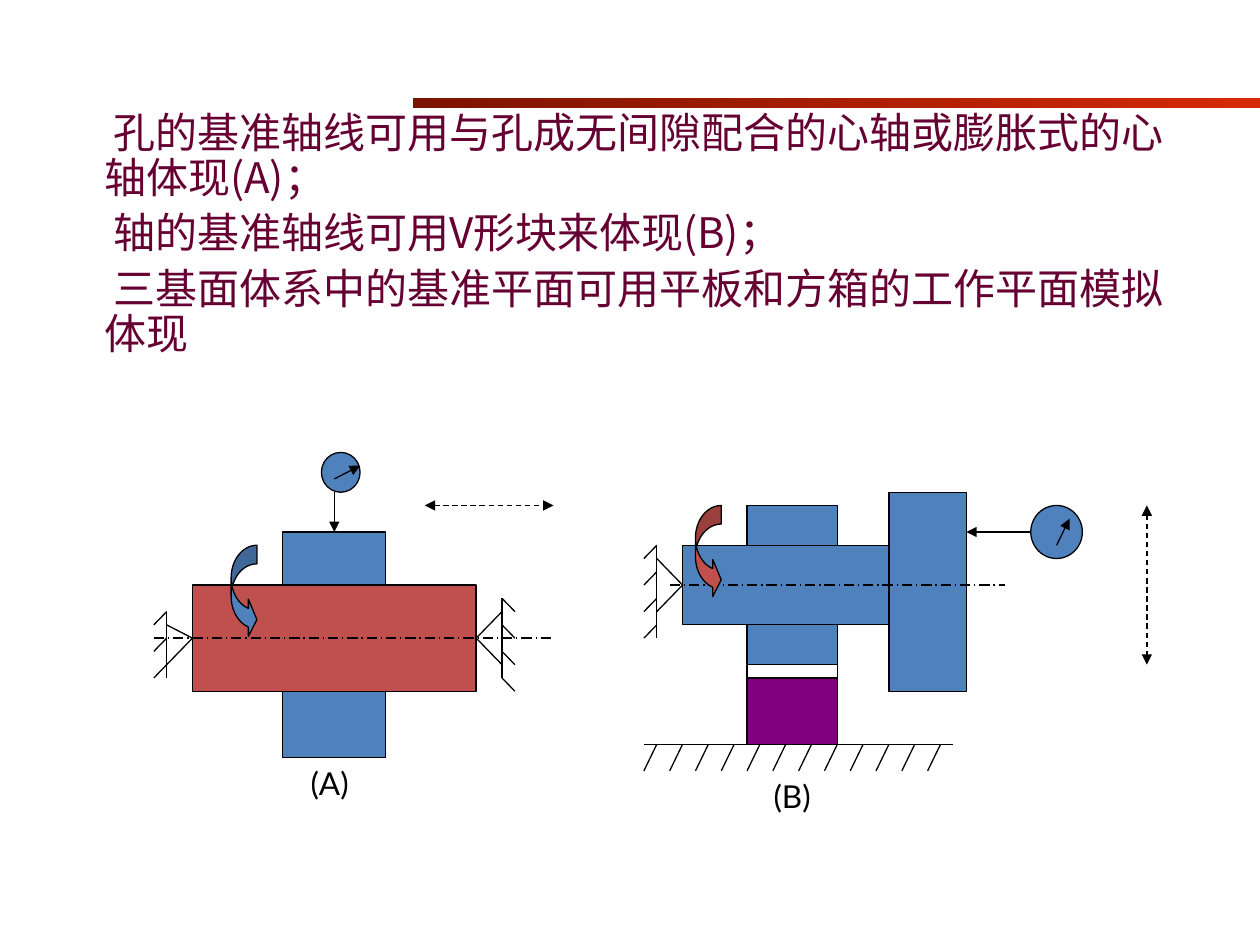
from lxml import etree
from pptx import Presentation
from pptx import util as u
from pptx.dml.color import RGBColor
from pptx.enum import dml, shapes, text
from pptx.oxml.ns import qn

COLORS = {"ink": "000000", "body": "660033", "blue": "4F81BD", "red": "C0504D",
          "purple": "800080", "bar_dark": "7C1300", "bar_light": "D52907"}
BODY_FONT, LABEL_FONT = "Noto Sans CJK SC", "Lato"
DASH, AXIS = dml.MSO_LINE.DASH, dml.MSO_LINE.LONG_DASH_DOT
RECT, OVAL = shapes.MSO_SHAPE.RECTANGLE, shapes.MSO_SHAPE.OVAL
TOP, LEFT, RIGHT = 0, 1, 3

BODY = ["孔的基准轴线可用与孔成无间隙配合的心轴或膨胀式的心轴体现(A)；",
        "轴的基准轴线可用V形块来体现(B)；",
        "三基面体系中的基准平面可用平板和方箱的工作平面模拟体现"]


def rgb(name):
    return RGBColor.from_string(COLORS[name])


# The drawing stands on a grid of columns and rows
def col(n):
    return int(u.Cm(3.1) + n * u.Cm(0.26))


def row(n):
    return int(u.Cm(9.12) + n * u.Cm(6.42) / 24)


def write(p, content, font, size, color="ink"):
    r = p.add_run()
    r.text = content
    r.font.name, r.font.size = font, u.Pt(size)
    r.font.color.rgb = rgb(color)
    ea = etree.SubElement(r._r.get_or_add_rPr(), qn("a:ea"))
    ea.set("typeface", font)


class Drawing:
    def __init__(self, slide, ink="ink", width=0.75):
        self.s, self.ink, self.width = slide, ink, u.Pt(width)

    def bar(self, x, y, w, h):
        sp = self.s.shapes.add_shape(RECT, x, y, w, h)
        sp.shadow.inherit = False
        sp.line.fill.background()
        sp.fill.gradient()
        sp.fill.gradient_angle = 0
        for stop, pos, name in zip(sp.fill.gradient_stops, (0, 1), ("bar_dark", "bar_light")):
            stop.position, stop.color.rgb = pos, rgb(name)

    def textbox(self, x, y, w, h, wrap):
        tf = self.s.shapes.add_textbox(x, y, w, h).text_frame
        tf.word_wrap = wrap
        return tf

    def body(self, x, y, w, h, paragraphs):
        tf = self.textbox(x, y, w, h, True)
        for i, content in enumerate(paragraphs):
            p = tf.paragraphs[0] if i == 0 else tf.add_paragraph()
            pPr = p._p.get_or_add_pPr()
            pPr.set("marL", str(u.Cm(0.96)))
            pPr.set("indent", str(u.Cm(0.18)))
            p.line_spacing = u.Pt(25.7)
            if i:
                p.space_before = u.Pt(6)
            write(p, content, BODY_FONT, 24, "body")

    def label(self, c, r, content):
        tf = self.textbox(col(c), row(r), u.Cm(1.3), u.Cm(1.02), False)
        tf.auto_size = text.MSO_AUTO_SIZE.SHAPE_TO_FIT_TEXT
        write(tf.paragraphs[0], content, LABEL_FONT, 18)

    def shape(self, c1, r1, c2, r2, fill="blue", kind=RECT):
        sp = self.s.shapes.add_shape(kind, col(c1), row(r1),
                                     col(c2) - col(c1), row(r2) - row(r1))
        sp.shadow.inherit = False
        sp.fill.solid()
        sp.fill.fore_color.rgb = rgb(fill)
        sp.line.color.rgb, sp.line.width = rgb(self.ink), self.width
        return sp

    def turn_arrow(self, c, r, fill):
        sp = self.shape(c, r, c + 2, r + 7, fill, shapes.MSO_SHAPE.CURVED_RIGHT_ARROW)
        for i, value in enumerate((0.72, 1.44, 0.33)):
            sp.adjustments[i] = value

    def line(self, c1, r1, c2, r2, dash=None, heads=(), begin=None, end=None):
        cn = self.s.shapes.add_connector(shapes.MSO_CONNECTOR.STRAIGHT,
                                         col(c1), row(r1), col(c2), row(r2))
        if begin:
            cn.begin_connect(*begin)
        if end:
            cn.end_connect(*end)
        cn.line.color.rgb, cn.line.width = rgb(self.ink), self.width
        if dash:
            cn.line.dash_style = dash
        ln = cn.line._get_or_add_ln()
        for tag in heads:
            etree.SubElement(ln, qn(f"a:{tag}")).set("type", "triangle")
        etree.SubElement(cn._element.spPr, qn("a:effectLst"))

    def support(self, shaft, site, tip, wall, cone, ends, hatches):
        """Pointed centre touching the shaft, with a hatched wall behind it."""
        side = 1 if wall > tip[0] else -1
        for r in cone:
            self.line(*tip, wall, r, begin=(shaft, site))
        self.line(wall, ends[0], wall, ends[1])
        for r in hatches:
            self.line(wall, r, wall + side, r + 1)


def main():
    prs = Presentation()
    prs.slide_width, prs.slide_height = u.Cm(25.4), u.Cm(19.05)
    d = Drawing(prs.slides.add_slide(prs.slide_layouts[6]))

    # Bar and text
    d.bar(u.Cm(8.33), u.Cm(1.98), u.Cm(17.07), u.Cm(0.2))
    d.body(u.Cm(0.89), u.Cm(2.13), u.Cm(23.47), u.Cm(9.3), BODY)

    # (A) workpiece on a mandrel between two centres
    hub = d.shape(10, 6, 18, 23)
    mandrel = d.shape(3, 10, 25, 18, "red")
    d.support(mandrel, LEFT, (3, 14), 1, (13, 16), (12, 17), range(12, 17, 2))
    d.support(mandrel, RIGHT, (25, 14), 27, (12, 16), (11, 17), range(11, 18, 2))
    d.line(0, 14, 31, 14, AXIS)
    d.line(14, 3, 14, 6, heads=["tailEnd"], end=(hub, TOP))
    d.shape(13, 0, 16, 3, kind=OVAL)
    d.line(14, 2, 16, 1, heads=["tailEnd"])
    d.line(21, 4, 31, 4, DASH, ["headEnd", "tailEnd"])
    d.turn_arrow(6, 7, "blue")
    d.label(11.2, 23, "(A)")

    # (B) shaft on a V-block
    wheel = d.shape(57, 3, 63, 18)
    d.shape(46, 4, 53, 16)
    for c in (46, 53):
        d.line(c, 16, c, 18)
    d.shape(46, 17, 53, 22, "purple")
    shaft = d.shape(41, 7, 57, 13)
    d.support(shaft, LEFT, (41, 10), 39, (8, 12), (7, 14), range(7, 14, 2))
    d.line(40, 10, 66, 10, AXIS)
    d.line(68, 6, 63, 6, heads=["tailEnd"])
    d.shape(68, 4, 72, 8, kind=OVAL)
    d.line(70, 7, 71, 5, heads=["tailEnd"])
    d.line(77, 4, 77, 16, DASH, ["headEnd", "tailEnd"])
    d.turn_arrow(42, 4, "red")
    d.label(47.1, 24, "(B)")

    # Ground under the V-block
    d.line(38, 22, 62, 22)
    for c in range(39, 62, 2):
        d.line(c, 22, c - 1, 24)

    prs.save("out.pptx")


if __name__ == "__main__":
    main()
